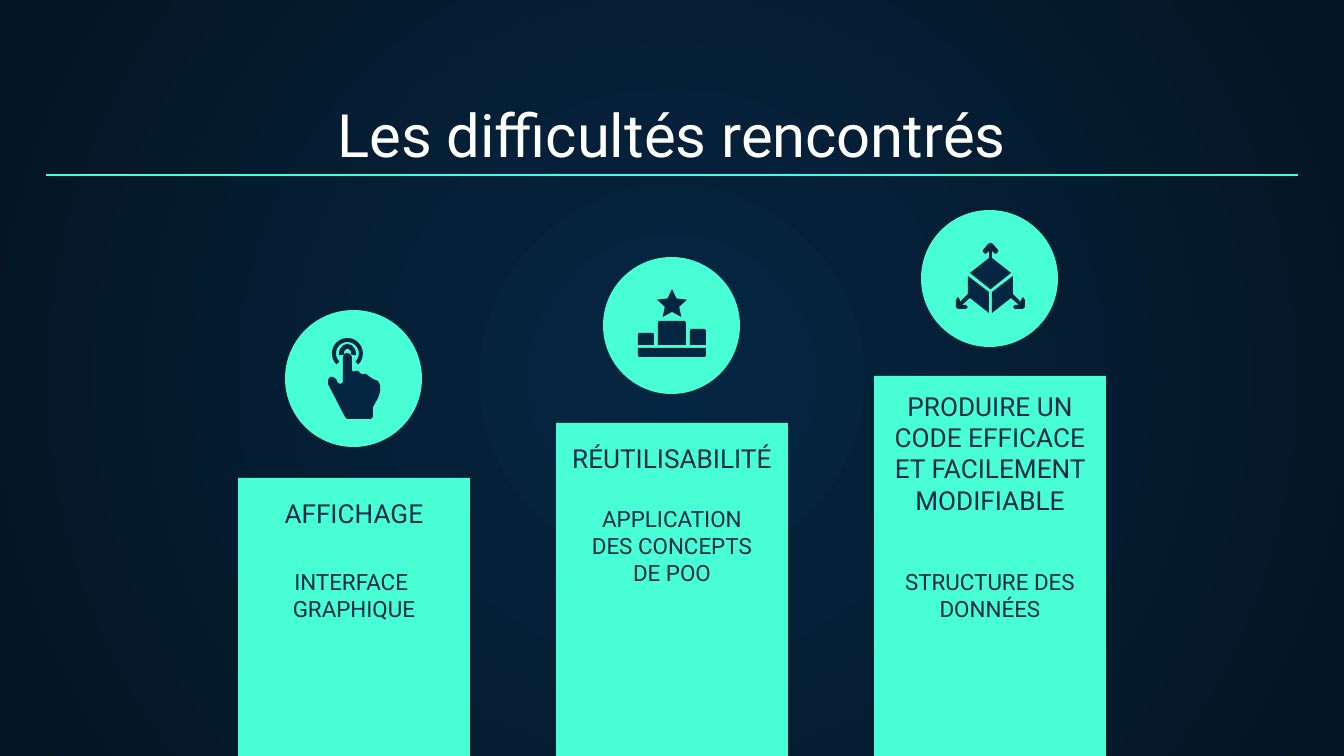
"""Build a slide of three rising bars that name the difficulties met."""
import dataclasses

import lxml.etree
import pptx
import pptx.dml.color
import pptx.enum.shapes
import pptx.enum.text
import pptx.oxml.ns
import pptx.util

SCALE = 914400 / 134.4
WIDE, HIGH = 1344, 756
KIND = pptx.enum.shapes.MSO_SHAPE
ANCHOR = pptx.enum.text.MSO_ANCHOR
qn = pptx.oxml.ns.qn


@dataclasses.dataclass(frozen=True)
class Theme:
    mint: str = "48FFD5"
    navy: str = "052643"
    edge: str = "041523"
    ink: str = "0E2A47"
    white: str = "FFFFFF"
    font: str = "Roboto"
    title: int = 32
    head: int = 14
    body: int = 12
    rule: float = 0.75


THEME = Theme()


def emu(*sizes):
    return [pptx.util.Emu(round(size * SCALE)) for size in sizes]


def rgb(code):
    return pptx.dml.color.RGBColor.from_string(code)


def paint(shape, color):
    shape.shadow.inherit = False
    shape.fill.solid()
    shape.fill.fore_color.rgb = rgb(color)
    shape.line.fill.background()


def block(slide, kind, box, color, tweaks=()):
    shape = slide.shapes.add_shape(kind, *emu(*box))
    for index, value in enumerate(tweaks):
        shape.adjustments[index] = value
    paint(shape, color)


def outline(slide, points):
    pen = slide.shapes.build_freeform(*points[0], scale=SCALE)
    pen.add_line_segments(points[1:], close=True)
    paint(pen.convert_to_shape(), THEME.navy)


def label(slide, box, lines, size, color, anchor):
    frame = slide.shapes.add_textbox(*emu(*box)).text_frame
    frame.word_wrap = True
    frame.vertical_anchor = anchor
    inset = pptx.util.Inches(0.1)
    frame.margin_left = frame.margin_right = inset
    frame.margin_top = frame.margin_bottom = inset
    frame.text = "\n".join(lines)
    for para in frame.paragraphs:
        para.alignment = pptx.enum.text.PP_ALIGN.CENTER
        para.font.name = THEME.font
        para.font.size = pptx.util.Pt(size)
        para.font.color.rgb = rgb(color)


def rule(slide, left, right, y):
    line = slide.shapes.add_connector(
        pptx.enum.shapes.MSO_CONNECTOR.STRAIGHT, *emu(left, y, right, y))
    line.line.color.rgb = rgb(THEME.mint)
    line.line.width = pptx.util.Pt(THEME.rule)
    lxml.etree.SubElement(line.element.spPr, qn("a:effectLst"))


def backdrop(slide):
    fill = slide.background.fill
    fill.gradient()
    for stop, color in zip(fill.gradient_stops, (THEME.navy, THEME.edge)):
        stop.color.rgb = rgb(color)
    for stop, place in zip(fill.gradient_stops, (0, 1)):
        stop.position = place
    linear = slide.element.xpath(".//p:bg//a:lin")[0]
    radial = lxml.etree.Element(qn("a:path"), {"path": "circle"})
    sides = dict.fromkeys("ltrb", "50000")
    lxml.etree.SubElement(radial, qn("a:fillToRect"), sides)
    linear.getparent().replace(linear, radial)


def flip(points, total):
    return [(total - x, y) for x, y in reversed(points)]


def touch(slide):
    arcs = [((332, 338, 31, 31), 135, 45, 0.13),
            ((339, 344, 17, 20), 170, 10, 0.28)]
    for box, start, end, thick in arcs:
        block(slide, KIND.BLOCK_ARC, box, THEME.navy,
              (start * 0.6, end * 0.6, thick))
    outline(slide, [
        (347, 353), (344, 354), (343, 357), (343, 382), (341, 384),
        (338, 383), (336, 379), (333, 377), (330, 377), (328, 380),
        (328, 384), (345, 417), (347, 419), (371, 419), (373, 417),
        (373, 407), (378, 398), (380, 392), (380, 385), (378, 381),
        (373, 379), (370, 377), (366, 374), (361, 374), (358, 371),
        (355, 371), (353, 372), (352, 370), (352, 357), (350, 354)])


def podium(slide):
    block(slide, KIND.STAR_5_POINT, (657, 289, 30, 28), THEME.navy, (0.24,))
    steps = [((638, 333, 16, 12), 0.12, 0), ((658, 321, 28, 24), 0.08, 0),
             ((690, 329, 16, 16), 0.12, 0), ((638, 348, 68, 9), 0, 0.2)]
    for box, *tweaks in steps:
        block(slide, KIND.ROUND_2_SAME_RECTANGLE, box, THEME.navy, tweaks)


def cube(slide):
    total = 1981
    side = [(1013, 276), (992, 292), (992, 313), (1011, 298), (1019, 305),
            (1015, 305), (1013, 307), (1015, 309), (1023, 309), (1025, 307),
            (1025, 300), (1023, 297), (1021, 300), (1021, 302), (1013, 294)]
    top = [(990, 243), (988, 244), (983, 250), (983, 252), (985, 254),
           (987, 253), (989, 251), (989, 258), (970, 273), (990, 289)]
    outline(slide, side)
    outline(slide, flip(side, total))
    outline(slide, top + flip(top, total))


def column(slide, mid, top, disc, head, body, icon):
    block(slide, KIND.RECTANGLE, (mid - 116, top, 232, HIGH - top), THEME.mint)
    text, wide, foot = head
    label(slide, (mid - wide / 2, top, wide, foot - top), [text],
          THEME.head, THEME.ink, ANCHOR.BOTTOM)
    lines, start = body
    label(slide, (mid - 102, start, 204, 74), lines,
          THEME.body, THEME.ink, ANCHOR.TOP)
    block(slide, KIND.OVAL, (mid - 69, disc, 137, 137), THEME.mint)
    icon(slide)


def main():
    deck = pptx.Presentation()
    deck.slide_width, deck.slide_height = emu(WIDE, HIGH)
    slide = deck.slides.add_slide(deck.slide_layouts[6])
    backdrop(slide)
    label(slide, (46, 94, 1252, 89), ["Les difficultés rencontrés"],
          THEME.title, THEME.white, ANCHOR.BOTTOM)
    goal = "PRODUIRE UN CODE EFFICACE ET FACILEMENT MODIFIABLE"
    items = [
        (478, 310, ("AFFICHAGE", 305, 542),
         (["INTERFACE ", "GRAPHIQUE"], 555), touch),
        (423, 257, ("RÉUTILISABILITÉ", 305, 487),
         (["APPLICATION DES CONCEPTS DE POO"], 492), podium),
        (376, 210, (goal, 232, 529),
         (["STRUCTURE DES DONNÉES"], 555), cube)]
    for index, item in enumerate(items):
        column(slide, 354 + 318 * index, *item)
    rule(slide, 46, 1298, 175)
    deck.save("out.pptx")


main()
